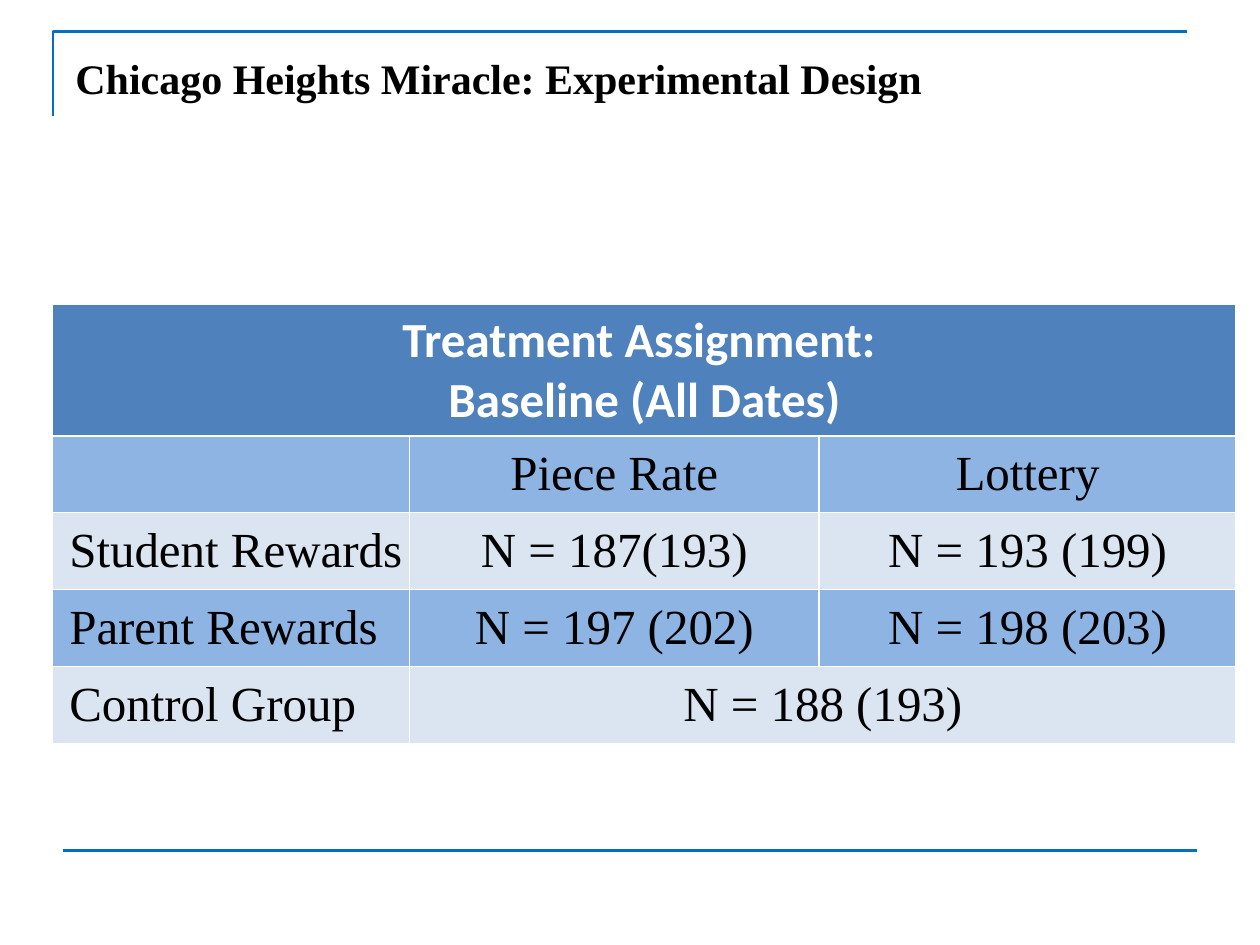
from pptx import Presentation
from pptx.dml.color import RGBColor
from pptx.enum.shapes import MSO_CONNECTOR
from pptx.enum.text import MSO_ANCHOR, PP_ALIGN
from pptx.oxml import parse_xml
from pptx.oxml.ns import nsdecls
from pptx.util import Inches, Pt
from lxml.etree import SubElement

RULE_BLUE = RGBColor(0x00, 0x70, 0xC0)
HEADER_BLUE = RGBColor(0x4F, 0x81, 0xBD)
BAND_DARK = RGBColor(0x8D, 0xB4, 0xE3)
BAND_LIGHT = RGBColor(0xDB, 0xE5, 0xF1)
BLACK = RGBColor(0, 0, 0)
WHITE = RGBColor(0xFF, 0xFF, 0xFF)


def write(frame, text, size=28, font="Times New Roman", color=BLACK, bold=False,
          align=PP_ALIGN.CENTER):
    """Fill a text frame, one paragraph for each line of text."""
    for index, line in enumerate(text.split("\n")):
        para = frame.paragraphs[0] if index == 0 else frame.add_paragraph()
        para.alignment = align
        span = para.add_run()
        span.text = line
        span.font.size = Pt(size)
        span.font.name = font
        span.font.bold = bold
        span.font.color.rgb = color


def outline_cell(cell, color=WHITE, width=0.75):
    """Draw all four borders; they must come before the fill."""
    properties = cell._tc.get_or_add_tcPr()
    for position, side in enumerate("LRTB"):
        properties.insert(position, parse_xml(
            f'<a:ln{side} {nsdecls("a")} w="{Pt(width)}"><a:solidFill>'
            f'<a:srgbClr val="{color}"/></a:solidFill></a:ln{side}>'))


deck = Presentation()
deck.slide_width, deck.slide_height = Inches(10), Inches(7.5)
page = deck.slides.add_slide(deck.slide_layouts[6])
left, margin = Inches(0.42), deck.slide_width // 20
content_width = deck.slide_width - 2 * margin

# Corner rule above the title
top = deck.slide_height // 30
builder = page.shapes.build_freeform(left, Inches(0.92))
builder.add_line_segments([(left, top), (left + content_width, top)], close=False)
corner = builder.convert_to_shape()
corner.shadow.inherit = False
corner.fill.background()

# Rule at the foot
foot_y = deck.slide_height * 9 // 10
foot = page.shapes.add_connector(
    MSO_CONNECTOR.STRAIGHT, margin, foot_y, margin + content_width, foot_y)
SubElement(foot._element.spPr, "{http://schemas.openxmlformats.org/drawingml/2006/main}effectLst")
for rule in (corner, foot):
    rule.line.color.rgb = RULE_BLUE
    rule.line.width = Pt(1.5)

# Title
title = page.shapes.add_textbox(margin, Inches(0.32), content_width, Inches(0.6))
title.text_frame.word_wrap = True
title.text_frame.vertical_anchor = MSO_ANCHOR.MIDDLE
write(title.text_frame, "Chicago Heights Miracle: Experimental Design",
      size=24, bold=True, align=PP_ALIGN.LEFT)

# Treatment table
rows = [
    ["Treatment Assignment: \nBaseline (All Dates)", "", ""],
    ["", "Piece Rate", "Lottery"],
    ["Student Rewards", "N = 187(193)", "N = 193 (199)"],
    ["Parent Rewards", "N = 197 (202)", "N = 198 (203)"],
    ["Control Group", "N = 188 (193)", ""],
]
column_widths = [2.83, 3.25, 3.31]
row_heights = [1.04] + [0.61] * 4
table = page.shapes.add_table(
    len(rows), len(column_widths), left, Inches(2.42),
    Inches(sum(column_widths)), Inches(sum(row_heights))).table
for column, width in zip(table.columns, column_widths):
    column.width = Inches(width)
for row, height in zip(table.rows, row_heights):
    row.height = Inches(height)
table.cell(0, 0).merge(table.cell(0, 2))
table.cell(4, 1).merge(table.cell(4, 2))

for row_index, texts in enumerate(rows):
    is_header = row_index == 0
    band = BAND_DARK if row_index % 2 else BAND_LIGHT
    for column_index, text in enumerate(texts):
        cell = table.cell(row_index, column_index)
        is_label = column_index == 0 and not is_header
        cell.fill.solid()
        cell.fill.fore_color.rgb = HEADER_BLUE if is_header else band
        outline_cell(cell)
        cell.margin_left = Inches(0.13 if is_label else 0.01)
        cell.margin_right = Inches(0.01)
        cell.vertical_anchor = MSO_ANCHOR.BOTTOM if is_header else MSO_ANCHOR.MIDDLE
        if not text:
            continue
        if is_header:
            write(cell.text_frame, text, font="Calibri", color=WHITE, bold=True)
        else:
            write(cell.text_frame, text,
                  align=PP_ALIGN.LEFT if is_label else PP_ALIGN.CENTER)

deck.save("out.pptx")
